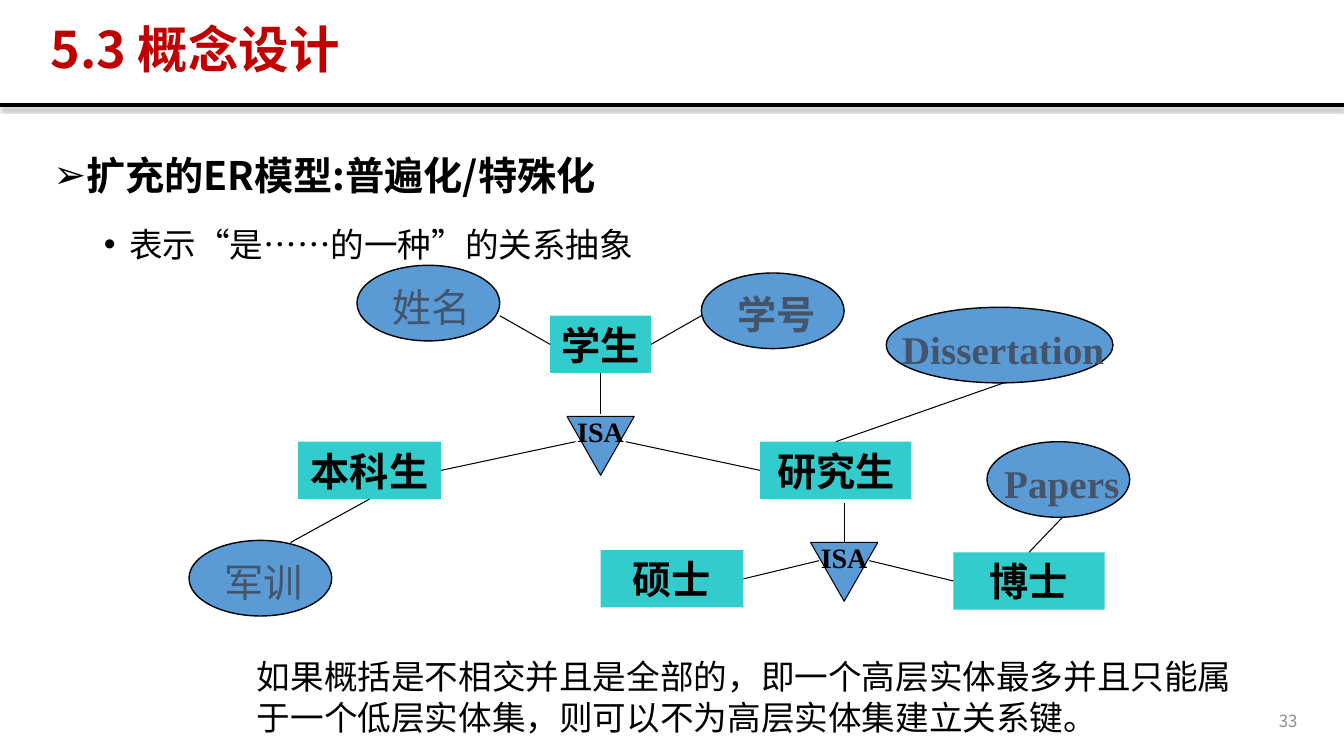
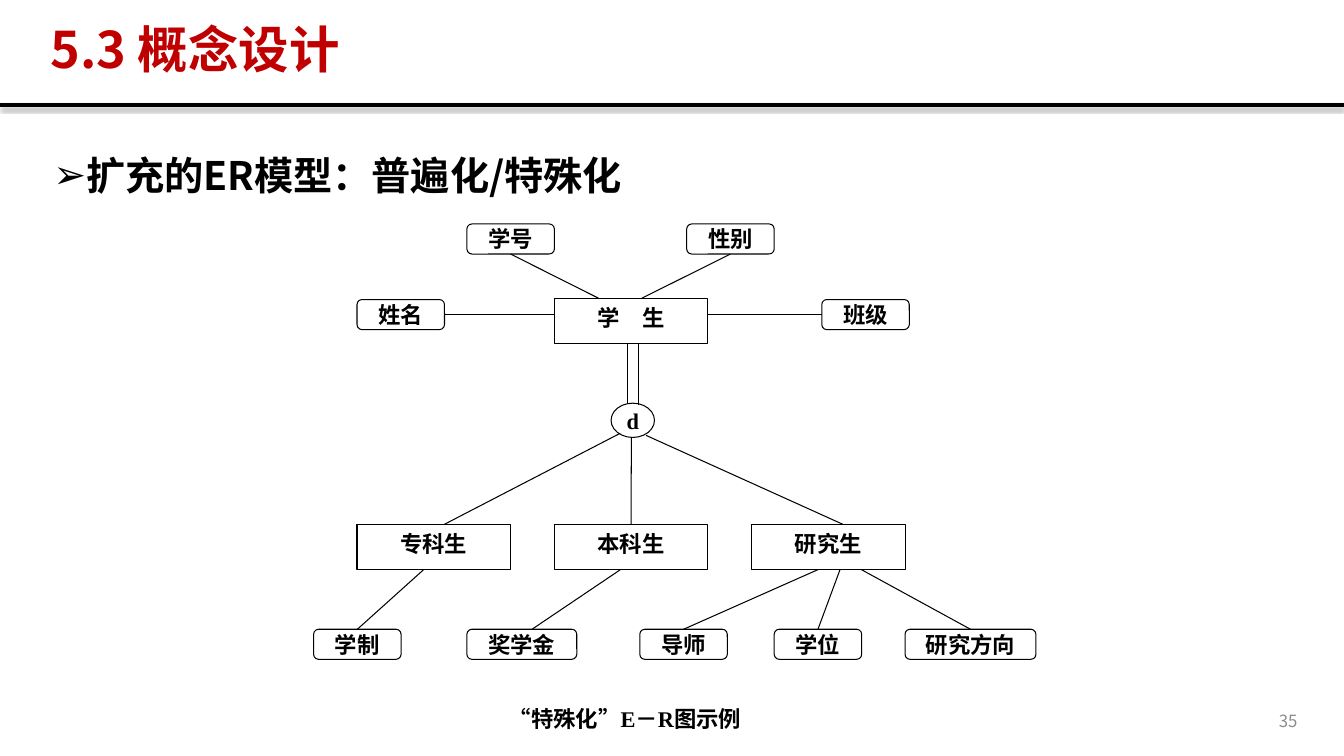
from dataclasses import dataclass, replace
from typing import NamedTuple

from lxml.etree import SubElement
from pptx import Presentation
from pptx.dml.color import RGBColor
from pptx.enum.shapes import MSO_CONNECTOR, MSO_SHAPE
from pptx.enum.text import MSO_ANCHOR, MSO_AUTO_SIZE, PP_ALIGN
from pptx.oxml.ns import qn
from pptx.util import Pt

SANS = "Noto Sans CJK SC"
SERIF = "Times New Roman"
BLACK, WHITE, RED, GRAY = "000000", "FFFFFF", "C00000", "8C8C8C"
TEAL, BLUE, SLATE = "33CCCC", "5B9BD5", "44546A"
TOP, LEFT, BOTTOM, RIGHT = range(4)


@dataclass(frozen=True)
class TextStyle:
    size: float
    font: str = SANS
    color: str = BLACK
    bold: bool = False


@dataclass(frozen=True)
class NodeStyle:
    preset: MSO_SHAPE
    text: TextStyle
    fill: str
    line_width: float = 0
    wrap: bool = False
    insets: tuple[float, float, float, float] = (0, 0, 0, 0)


class Frame(NamedTuple):
    left: float
    top: float
    width: float
    height: float


class Node(NamedTuple):
    text: str
    style: NodeStyle
    frame: Frame


class Point(NamedTuple):
    x: float
    y: float


class Joint(NamedTuple):
    """The middle of one side of the node with this text."""
    node: str
    side: int


class Link(NamedTuple):
    start: Point | Joint
    end: Point | Joint


class ListItem(NamedTuple):
    text: str
    level: int
    bullet: str
    margin: float
    line_height: float
    space_before: float
    style: TextStyle


TITLE = TextStyle(36, color=RED, bold=True)
HEADING = TextStyle(28, bold=True)
BODY = TextStyle(24)
PAGE_NUMBER = TextStyle(12, color=GRAY)
SMALL = TextStyle(16, SERIF, bold=True)

ENTITY = NodeStyle(MSO_SHAPE.RECTANGLE, HEADING, TEAL)
ISA = NodeStyle(MSO_SHAPE.FLOWCHART_MERGE, TextStyle(20, SERIF, bold=True), BLUE, 0.75)
OVAL_BOLD = NodeStyle(MSO_SHAPE.OVAL, TextStyle(28, color=SLATE, bold=True), BLUE, 1,
                      insets=(5, 5, 0, 0))
OVAL = replace(OVAL_BOLD, text=TextStyle(28, color=SLATE))
OVAL_LATIN = replace(OVAL_BOLD, text=TextStyle(28, SERIF, SLATE, True))

BOX = NodeStyle(MSO_SHAPE.RECTANGLE, SMALL, WHITE, 0.75, insets=(0, 0, 0, 5))
CIRCLE = NodeStyle(MSO_SHAPE.OVAL, SMALL, WHITE, 0.75)
TAG = NodeStyle(MSO_SHAPE.ROUNDED_RECTANGLE, SMALL, WHITE, 0.75)


def rgb(value: str) -> RGBColor:
    return RGBColor.from_string(value)


def place(shape, frame: Frame) -> None:
    shape.left, shape.top, shape.width, shape.height = map(Pt, frame)


def style_paragraph(para, style: TextStyle, align: PP_ALIGN) -> None:
    para.alignment = align
    font = para.font
    font.size, font.bold, font.name = Pt(style.size), style.bold, style.font
    font.color.rgb = rgb(style.color)
    SubElement(para._p.pPr.find(qn("a:defRPr")), qn("a:ea"), typeface=SANS)


def write(shape, text: str, style: TextStyle, align: PP_ALIGN = PP_ALIGN.CENTER,
          anchor: MSO_ANCHOR = MSO_ANCHOR.MIDDLE, wrap: bool = True, insets=None):
    frame = shape.text_frame
    frame.auto_size = MSO_AUTO_SIZE.NONE
    frame.word_wrap, frame.vertical_anchor = wrap, anchor
    if insets is not None:
        (frame.margin_left, frame.margin_top,
         frame.margin_right, frame.margin_bottom) = map(Pt, insets)
    para = frame.paragraphs[0]
    para.text = text
    style_paragraph(para, style, align)
    return para


def add_text(page, text: str, frame: Frame, style: TextStyle, **options):
    box = page.shapes.add_textbox(*map(Pt, frame))
    return write(box, text, style, **options)


def add_line(page, start: Point, end: Point, width: float = 0.75):
    """Add a black straight connector; returns it with its empty effect list."""
    line = page.shapes.add_connector(MSO_CONNECTOR.STRAIGHT, *map(Pt, (*start, *end)))
    line.line.color.rgb = rgb(BLACK)
    line.line.width = Pt(width)
    effects = SubElement(line._element.spPr, qn("a:effectLst"))
    return line, effects


def add_header_rule(page) -> None:
    """Draw the shadowed rule and hand it to the layout that all pages share."""
    rule, effects = add_line(page, Point(0, 75), Point(960, 75), 3)
    shadow = SubElement(effects, qn("a:outerShdw"), blurRad=str(Pt(3.1)),
                        dist=str(Pt(1.8)), dir="5400000", rotWithShape="0")
    color = SubElement(shadow, qn("a:srgbClr"), val=BLACK)
    SubElement(color, qn("a:alpha"), val="35000")
    page.slide_layout.shapes.element.append(rule._element)


def add_list(body, items: list[ListItem]) -> None:
    frame = body.text_frame
    frame.auto_size = MSO_AUTO_SIZE.NONE
    frame.vertical_anchor = MSO_ANCHOR.TOP
    for index, item in enumerate(items):
        para = frame.add_paragraph() if index else frame.paragraphs[0]
        para.text, para.level = item.text, item.level
        para.line_spacing = Pt(item.line_height)
        para.space_before = Pt(item.space_before)
        properties = para._p.get_or_add_pPr()
        properties.set("marL", str(Pt(item.margin)))
        properties.set("indent", str(Pt(-18)))
        SubElement(properties, qn("a:buFont"), typeface="Arial")
        SubElement(properties, qn("a:buChar"), char=item.bullet)
        style_paragraph(para, item.style, PP_ALIGN.JUSTIFY)


def add_page(deck, number: int, items: list[ListItem]):
    page = deck.slides.add_slide(deck.slide_layouts[1])
    title, body = page.placeholders
    place(title, Frame(29, 13.5, 842, 47))
    write(title, "5.3 概念设计", TITLE, PP_ALIGN.JUSTIFY).line_spacing = 0.9
    place(body, Frame(31, 96, 902, 390))
    add_list(body, items)
    add_text(page, str(number), Frame(718, 500.5, 216, 29), PAGE_NUMBER,
             align=PP_ALIGN.RIGHT)
    return page


def add_node(page, node: Node):
    style = node.style
    shape = page.shapes.add_shape(style.preset, *map(Pt, node.frame))
    shape.shadow.inherit = False
    shape.fill.solid()
    shape.fill.fore_color.rgb = rgb(style.fill)
    if style.line_width:
        shape.line.color.rgb = rgb(BLACK)
        shape.line.width = Pt(style.line_width)
    else:
        shape.line.fill.background()
    write(shape, node.text, style.text, wrap=style.wrap, insets=style.insets)
    return shape


def add_diagram(page, nodes: list[Node], links: list[Link]) -> None:
    shapes = {node.text: add_node(page, node) for node in nodes}
    for link in links:
        start, end = (Point(0, 0) if isinstance(tip, Joint) else tip for tip in link)
        line, _ = add_line(page, start, end)
        for tip, connect in zip(link, (line.begin_connect, line.end_connect)):
            if isinstance(tip, Joint):
                connect(shapes[tip.node], tip.side)


def heading(text: str) -> ListItem:
    return ListItem(text, 0, "➢", 18, 42, 0, HEADING)


def draw_isa_page(deck) -> None:
    page = add_page(deck, 33, [
        heading("扩充的ER模型:普遍化/特殊化"),
        ListItem("表示“是……的一种”的关系抽象", 1, "•", 54, 42, 5, BODY),
    ])
    add_header_rule(page)
    nodes = [
        Node("学生", ENTITY, Frame(393, 225.5, 72, 41)),
        Node("本科生", ENTITY, Frame(213, 315.5, 102, 41)),
        Node("研究生", ENTITY, Frame(543, 315.5, 108, 41)),
        Node("硕士", ENTITY, Frame(429, 393, 102, 41)),
        Node("博士", ENTITY, Frame(681, 394.5, 108, 41)),
        Node("ISA", ISA, Frame(405, 297.5, 48, 42)),
        Node("ISA", ISA, Frame(579, 387.5, 48, 42)),
        Node("姓名", OVAL, Frame(255, 189.5, 102, 54)),
        Node("学号", OVAL_BOLD, Frame(501, 195, 102, 54)),
        Node("Dissertation", OVAL_LATIN, Frame(633, 219.5, 162, 54)),
        Node("Papers", OVAL_LATIN, Frame(705, 315.5, 102, 54)),
        Node("军训", OVAL, Frame(135, 386, 102, 54)),
    ]
    links = [
        Link(Joint("学生", LEFT), Point(357, 225.5)),
        Link(Joint("学生", RIGHT), Point(501, 225.5)),
        Link(Joint("学生", BOTTOM), Point(429, 295.5)),
        Link(Joint("本科生", RIGHT), Point(411, 315.5)),
        Link(Joint("本科生", BOTTOM), Point(207.5, 387.5)),
        Link(Point(447, 315.5), Joint("研究生", LEFT)),
        Link(Joint("研究生", TOP), Point(717, 273.5)),
        Link(Point(603, 359.5), Point(603, 387.5)),
        Link(Joint("硕士", RIGHT), Point(585, 400.5)),
        Link(Point(621, 400.5), Joint("博士", LEFT)),
        Link(Joint("博士", TOP), Point(759, 369.5)),
    ]
    add_diagram(page, nodes, links)
    note = add_text(
        page,
        "如果概括是不相交并且是全部的，即一个高层实体最多并且只能属于一个低层实体集，"
        "则可以不为高层实体集建立关系键。",
        Frame(176.5, 465, 712, 64), BODY, align=PP_ALIGN.LEFT, anchor=MSO_ANCHOR.TOP)
    note.line_spacing = Pt(29)


def draw_specialization_page(deck) -> None:
    page = add_page(deck, 35, [heading("扩充的ER模型：普遍化/特殊化")])
    box_width, box_height, tag_height = 109.5, 32.5, 21.5
    upper, lower, leaves = 213, 374.5, 449.5
    nodes = [
        Node("学　生", BOX, Frame(396, upper, box_width, box_height)),
        Node("d", CIRCLE, Frame(436.5, 288, 31, 24.5)),
    ]
    nodes += [Node(text, BOX, Frame(255 + 141 * column, lower, box_width, box_height))
              for column, text in enumerate(("专科生", "本科生", "研究生"))]
    nodes += [Node(text, TAG, Frame(left, top, width, tag_height))
              for text, left, top, width in (
                  ("姓名", 255, 214, 62.5), ("学号", 333.5, 160, 62.5),
                  ("性别", 490.5, 160, 62.5), ("班级", 587, 214, 62.5),
                  ("学制", 224, leaves, 62.5), ("奖学金", 333.5, leaves, 78.5),
                  ("导师", 457, leaves, 62.5), ("学位", 553, leaves, 62.5),
                  ("研究方向", 646.5, leaves, 93.5))]
    links = [
        Link(Joint("姓名", RIGHT), Point(396, 224.75)),
        Link(Joint("学号", BOTTOM), Point(427.5, upper)),
        Link(Joint("性别", BOTTOM), Point(458.5, upper)),
        Link(Joint("班级", LEFT), Point(505.5, 224.75)),
        Link(Point(448.5, upper + box_height), Point(448.5, 288)),
        Link(Point(456, upper + box_height), Point(456, 289)),
        Link(Point(443, 309.5), Point(317.5, lower)),
        Link(Point(451, 312.5), Joint("本科生", TOP)),
        Link(Point(461.5, 311), Point(602, lower)),
        Link(Point(443, lower + box_height), Point(380, leaves)),
    ]
    links += [Link(Point(x, lower + box_height), Joint(leaf, TOP))
              for x, leaf in ((302.5, "学制"), (584, "导师"), (600, "学位"),
                              (615.5, "研究方向"))]
    add_diagram(page, nodes, links)
    add_text(page, "“特殊化”E－R图示例", Frame(262, 502.5, 369, 22), SMALL,
             insets=(0, 0, 0, 0))


def main() -> None:
    deck = Presentation()
    deck.slide_width, deck.slide_height = Pt(960), Pt(540)
    draw_isa_page(deck)
    draw_specialization_page(deck)
    deck.save("out.pptx")


if __name__ == "__main__":
    main()
